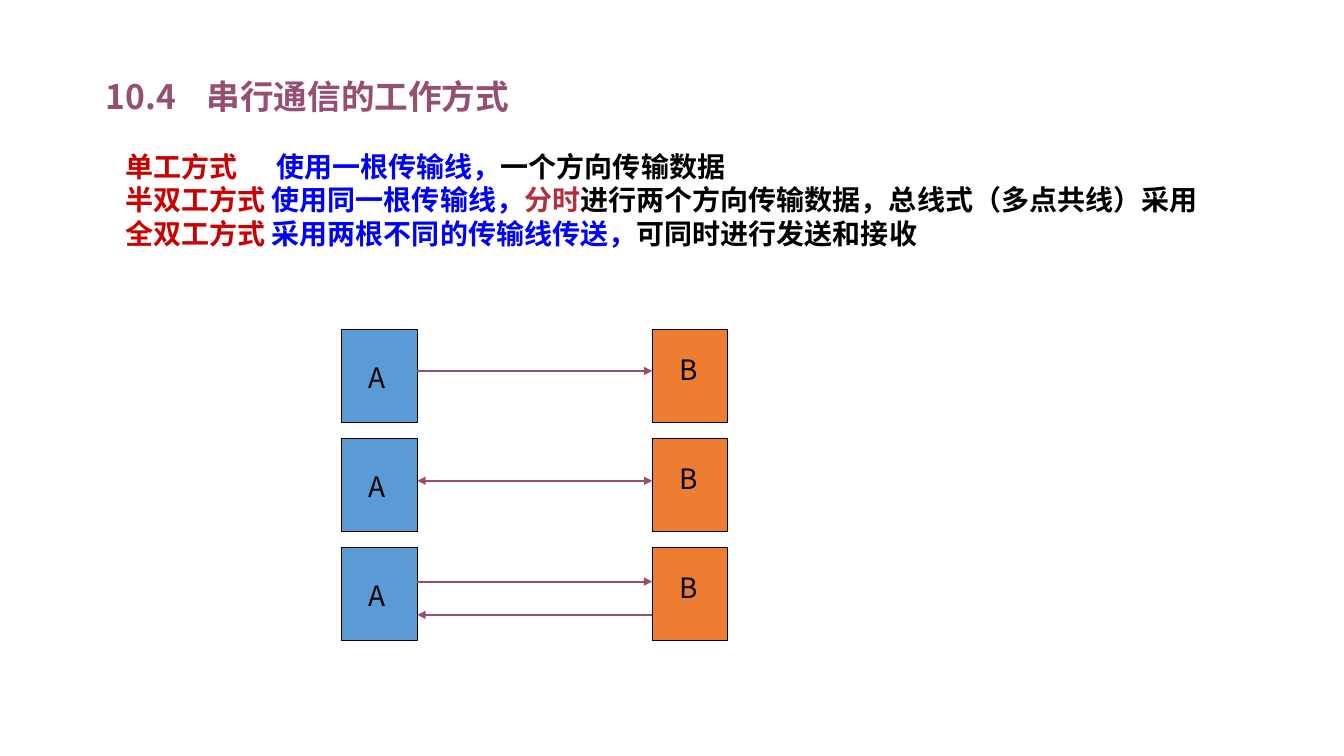
import pptx
import pptx.util
import pptx.dml.color
import pptx.enum.shapes
import pptx.enum.text
import pptx.oxml.ns
import lxml.etree

Inches, Pt = pptx.util.Inches, pptx.util.Pt
FONT = "Noto Sans CJK SC"
PLUM, RED, BLUE, BLACK = "954F72", "CC0000", "0000FF", "000000"
MODES = [
    [("单工方式\t", RED), ("使用一根传输线，", BLUE), ("一个方向传输数据", BLACK)],
    [("半双工方式 ", RED), ("使用同一根传输线，", BLUE), ("分时", "B43040"),
     ("进行两个方向传输数据，总线式（多点共线）采用", BLACK)],
    [("全双工方式 ", RED), ("采用两根不同的传输线传送，", BLUE),
     ("可同时进行发送和接收", BLACK)],
]
LINKS = [[(0.41, "right")], [(0.42, "both")], [(0.34, "right"), (0.67, "left")]]


def color(code):
    """Turn a hex string into a colour."""
    return pptx.dml.color.RGBColor.from_string(code)


def child(parent, tag, **attrs):
    """Append an XML element with the given attributes."""
    return lxml.etree.SubElement(parent, pptx.oxml.ns.qn(tag), **attrs)


def place(shape, left, top, width, height):
    """Move and size a shape in inches."""
    shape.left, shape.top = Inches(left), Inches(top)
    shape.width, shape.height = Inches(width), Inches(height)


def setup(frame, inset=True):
    """Set a frame to wrapped text that starts at the top."""
    frame.word_wrap = True
    frame.auto_size = pptx.enum.text.MSO_AUTO_SIZE.NONE
    frame.vertical_anchor = pptx.enum.text.MSO_ANCHOR.TOP
    if not inset:
        frame.margin_left = frame.margin_right = 0
        frame.margin_top = frame.margin_bottom = 0


def write(para, runs, size, bold, tab=None):
    """Write coloured runs into a plain left-aligned paragraph."""
    para.alignment = pptx.enum.text.PP_ALIGN.LEFT
    para.line_spacing = Pt(size * 1.2)
    para.space_before = para.space_after = Pt(0)
    props = para._p.get_or_add_pPr()
    props.set("marL", "0")
    props.set("indent", "0")
    child(props, "a:buNone")
    if tab:
        tabs = child(props, "a:tabLst")
        child(tabs, "a:tab", pos=str(Inches(tab)), algn="l")
    for text, code in runs:
        run = para.add_run()
        run.text = text
        font = run.font
        font.size, font.bold, font.name = Pt(size), bold, FONT
        font.color.rgb = color(code)
        child(run._r.get_or_add_rPr(), "a:ea", typeface=FONT)


def head(slide, left, top, width):
    """Fill the title placeholder."""
    title = slide.shapes.title
    place(title, left, top, width, 0.4)
    setup(title.text_frame, False)
    write(title.text_frame.paragraphs[0],
          [("10.4\t串行通信的工作方式", PLUM)], 24, True, 0.99)


def modes(slide, left, top, width):
    """List the three working modes in the body placeholder."""
    body = slide.placeholders[1]
    place(body, left, top, width, 1)
    frame = body.text_frame
    setup(frame, False)
    for i, runs in enumerate(MODES):
        para = frame.add_paragraph() if i else frame.paragraphs[0]
        write(para, runs, 20, True, 1.3)


def node(group, left, top, fill, name, drop):
    """Draw one station with its letter."""
    box = group.shapes.add_shape(
        pptx.enum.shapes.MSO_SHAPE.RECTANGLE, Inches(left), Inches(top),
        Inches(0.75), Inches(0.92))
    box.shadow.inherit = False
    box.fill.solid()
    box.fill.fore_color.rgb = color(fill)
    box.line.color.rgb = color(BLACK)
    box.line.width = Pt(0.75)
    label = group.shapes.add_textbox(
        Inches(left + 0.17), Inches(top + drop), Inches(0.5), Inches(0.43))
    setup(label.text_frame)
    write(label.text_frame.paragraphs[0], [(name, BLACK)], 20, False)


def arrow(group, start, end, y, way):
    """Draw a level arrow pointing right, left or both ways."""
    if way == "left":
        start, end = end, start
    line = group.shapes.add_connector(
        pptx.enum.shapes.MSO_CONNECTOR.STRAIGHT,
        Inches(start), Inches(y), Inches(end), Inches(y))
    line.line.color.rgb = color(PLUM)
    line.line.width = Pt(1.5)
    pen = line.line._get_or_add_ln()
    if way == "both":
        child(pen, "a:headEnd", type="triangle")
    child(pen, "a:tailEnd", type="triangle")
    child(line._element.spPr, "a:effectLst")


def chart(slide, left, top):
    """Draw one row of two linked stations for each mode."""
    for i, links in enumerate(LINKS):
        y = top + 1.08 * i
        group = slide.shapes.add_group_shape()
        node(group, left, y, "5B9BD5", "A", 0.26)
        node(group, left + 3.08, y, "ED7D31", "B", 0.18)
        for drop, way in links:
            arrow(group, left + 0.75, left + 3.08, y + drop, way)


def main():
    """Build and save the slide."""
    deck = pptx.Presentation()
    deck.slide_width, deck.slide_height = Inches(13.33), Inches(7.5)
    slide = deck.slides.add_slide(deck.slide_layouts[1])
    head(slide, 1.05, 0.75, 11.68)
    modes(slide, 1.24, 1.48, 11.49)
    chart(slide, 3.39, 3.27)
    deck.save("out.pptx")


if __name__ == "__main__":
    main()
